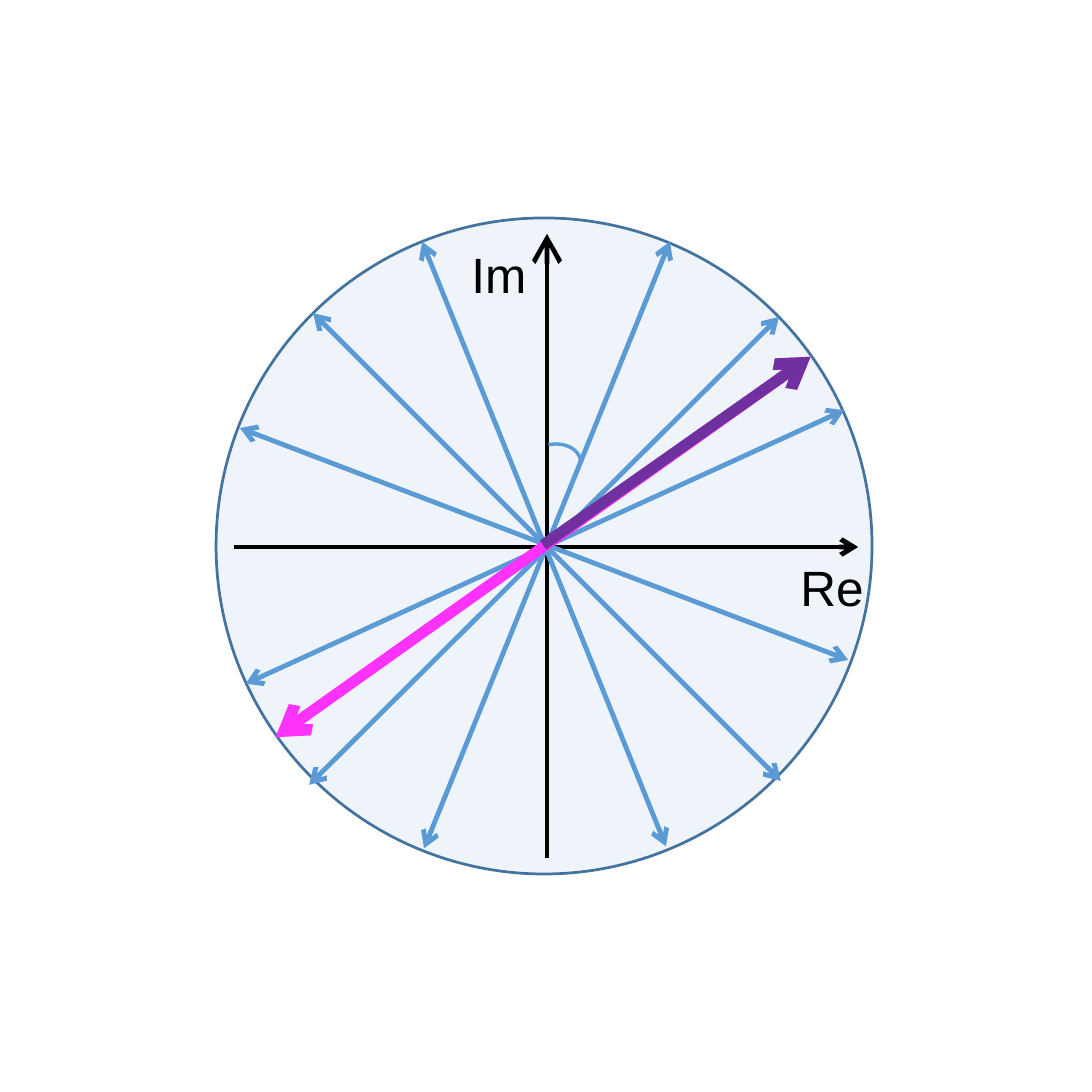
from pptx import Presentation
from pptx.dml.color import RGBColor
from pptx.enum.shapes import MSO_CONNECTOR as Conn, MSO_SHAPE as Kind
from pptx.enum.text import MSO_AUTO_SIZE as Fit
from pptx.oxml.ns import qn
from pptx.util import Inches, Pt
from lxml.etree import SubElement as Sub

# Square grid: 551 columns and rows, each 0.01 inch
CELLS = 551
BLUE, BLACK = "5B9BD5", "000000"
PINK, PLUM = "FD33FB", "7030A0"

# Ends of the six double-headed spokes: column, row, column, row
SPOKES = [
    (156, 396, 393, 160),
    (158, 158, 394, 394),
    (214, 428, 338, 122),
    (336, 427, 213, 122),
    (124, 345, 426, 207),
    (121, 216, 428, 333),
]


def cell(*nums):
    return [Inches(num / 100) for num in nums]


def paint(part, color):
    part.solid()
    part.fore_color.rgb = RGBColor.from_string(color)


def arrow(slide, ends, color, width, heads=("tailEnd",), size="med"):
    link = slide.shapes.add_connector(Conn.STRAIGHT, *cell(*ends))
    paint(link.line.fill, color)
    link.line.width = Pt(width)
    for head in heads:
        Sub(link.line._ln, qn("a:" + head), type="arrow", w=size, len=size)
    Sub(link._element.spPr, qn("a:effectLst"))


def outline(slide, kind, box, color, width):
    shape = slide.shapes.add_shape(kind, *cell(*box))
    shape.shadow.inherit = False
    shape.fill.background()
    paint(shape.line.fill, color)
    shape.line.width = Pt(width)
    return shape


def label(slide, text, box, size=18, color=BLACK, font="Arial"):
    frame = slide.shapes.add_textbox(*cell(*box)).text_frame
    frame.word_wrap = False
    frame.auto_size = Fit.SHAPE_TO_FIT_TEXT
    run = frame.paragraphs[0].add_run()
    run.text = text
    run.font.name = font
    run.font.size = Pt(size)
    paint(run.font.fill, color)


def main():
    deck = Presentation()
    deck.slide_width, deck.slide_height = cell(CELLS, CELLS)
    slide = deck.slides.add_slide(deck.slide_layouts[6])
    both = ("headEnd", "tailEnd")

    # Unit circle with a faint fill
    disc = outline(slide, Kind.OVAL, (109, 110, 331, 331), "43739E", 1)
    paint(disc.fill, BLUE)
    tint = disc._element.spPr.find(qn("a:solidFill"))[0]
    Sub(tint, qn("a:alpha"), val="10000")

    # Axes
    arrow(slide, (118, 276, 433, 276), BLACK, 1.75)
    arrow(slide, (276, 433, 276, 118), BLACK, 1.75, size="lg")

    # Spokes
    for ends in SPOKES:
        arrow(slide, ends, BLUE, 1.75, both)

    # Axis names
    label(slide, "Re", (394, 276, 52, 40))
    label(slide, "Im", (228, 118, 48, 40))

    # Angle mark
    mark = outline(slide, Kind.ARC, (268, 224, 25, 18), BLUE, 1.25)
    mark.adjustments[0] = 147.86
    mark.adjustments[1] = 0

    # Main direction
    arrow(slide, (139, 372, 409, 180), PINK, 4, both)
    arrow(slide, (274, 275, 409, 180), PLUM, 4)

    deck.save("out.pptx")


if __name__ == "__main__":
    main()
